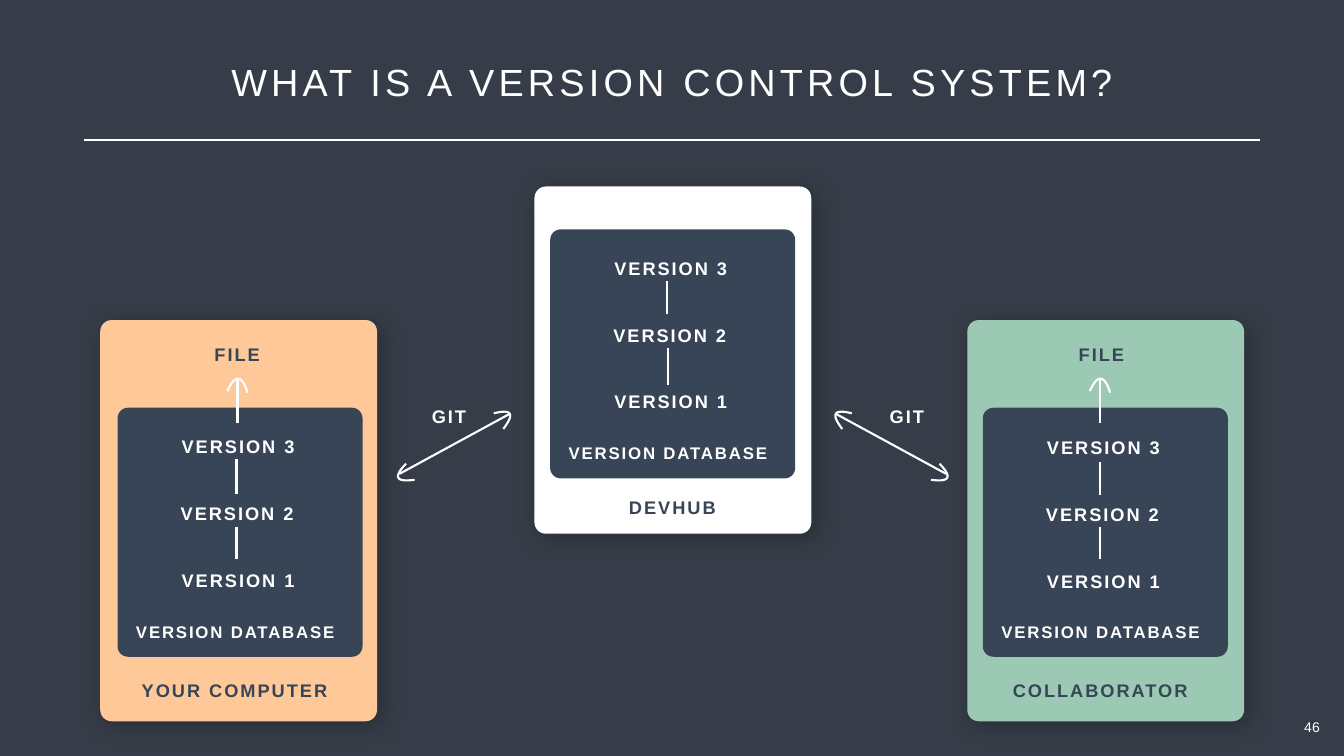
import pptx
import pptx.dml.color
import pptx.enum.shapes
import pptx.enum.text
import pptx.oxml
import pptx.util
from lxml import etree

Cm, Pt = pptx.util.Cm, pptx.util.Pt
RGBColor = pptx.dml.color.RGBColor
MSO_SHAPE = pptx.enum.shapes.MSO_SHAPE
PP_ALIGN = pptx.enum.text.PP_ALIGN

BACKGROUND = RGBColor(0x36, 0x3D, 0x48)
NAVY = RGBColor(0x37, 0x45, 0x56)
WHITE = RGBColor(0xFF, 0xFF, 0xFF)
ORANGE = RGBColor(0xFF, 0xC8, 0x99)
GREEN = RGBColor(0x9C, 0xC9, 0xB4)
A_NS = "http://schemas.openxmlformats.org/drawingml/2006/main"

# Content; all lengths in cm
TITLE = "WHAT IS A VERSION CONTROL SYSTEM?"
PAGE = "46"
# card: left, top, height; panel: left, top; caption: left, top, width
# links: x and the y spans between versions, measured from the panel
CARDS = [
    {"card": (5.05, 16.13, 20.22), "fill": ORANGE, "panel": (5.92, 20.55),
     "caption": ("YOUR COMPUTER", 7.01, 33.73, 10.69), "file": 10.67,
     "arrow": 11.96, "drop": 0,
     "links": [(5.99, 2.59, 4.34), (5.99, 5.99, 7.64)]},
    {"card": (26.92, 9.4, 17.5), "fill": WHITE, "panel": (27.71, 11.56),
     "caption": ("DEVHUB", 31.55, 24.49, 5), "file": None,
     "arrow": None, "drop": 0,
     "links": [(5.89, 2.59, 4.24), (5.95, 5.99, 7.82)]},
    {"card": (48.72, 16.13, 20.22), "fill": GREEN, "panel": (49.5, 20.55),
     "caption": ("COLLABORATOR", 50.88, 33.73, 9.6), "file": 54.2,
     "arrow": 55.4, "drop": 0.05,
     "links": [(5.9, 2.74, 4.39), (5.9, 5.99, 7.64)]},
]
VERSIONS = [("VERSION 3", 3.1), ("VERSION 2", 3.05), ("VERSION 1", 3.1)]
GIT_LABELS = [21.62, 44.68]

CARD_W, PANEL_W, PANEL_H = 13.94, 12.34, 12.55
VERSION_TOP, VERSION_STEP = 0.89, 3.36
FILE_TOP, ARROW_TOP, ARROW_BOTTOM = 16.81, 19.13, 21.31
MIRROR = 67.77  # sum of the x values of the two git arrows

# Bezier control points of the curved arrowheads
UP_HEAD = [(-0.51, 0.58), (-0.13, -0.28), (0.23, -0.25), (0.51, 0.66)]
GIT_LINE = [(42.14, 20.88), (47.65, 23.88)]
GIT_HEADS = [
    [(42.9, 20.83), (41.99, 20.6), (41.83, 20.85), (42.42, 21.62)],
    [(47.32, 23.37), (47.98, 24.05), (47.83, 24.31), (46.89, 24.18)],
]

prs = pptx.Presentation()
prs.slide_width, prs.slide_height = Cm(67.69), Cm(38.1)
s = prs.slides.add_slide(prs.slide_layouts[6])
s.background.fill.solid()
s.background.fill.fore_color.rgb = BACKGROUND


def add_box(x, y, w, h, fill, adj, shadow=False):
    sp = s.shapes.add_shape(MSO_SHAPE.ROUNDED_RECTANGLE, Cm(x), Cm(y), Cm(w), Cm(h))
    sp.adjustments[0] = adj
    sp.fill.solid()
    sp.fill.fore_color.rgb = fill
    sp.line.fill.background()
    sp.shadow.inherit = False
    if shadow:
        effects = sp._element.spPr.find(f"{{{A_NS}}}effectLst")
        effects.append(pptx.oxml.parse_xml(
            f'<a:outerShdw xmlns:a="{A_NS}" blurRad="{Pt(36)}" dist="{Pt(8)}" '
            'dir="2700000" algn="ctr" rotWithShape="0"><a:srgbClr val="000000">'
            '<a:alpha val="26000"/></a:srgbClr></a:outerShdw>'))


def add_text(text, x, y, w, h=1.65, color=WHITE, size=26, spacing=2.8,
             bold=True, center=False, line=42, inset=0.13, wrap=True):
    tf = s.shapes.add_textbox(Cm(x), Cm(y), Cm(w), Cm(h)).text_frame
    tf.word_wrap = wrap
    tf.auto_size = pptx.enum.text.MSO_AUTO_SIZE.SHAPE_TO_FIT_TEXT
    tf.margin_left = tf.margin_right = tf.margin_top = tf.margin_bottom = Cm(inset)
    p = tf.paragraphs[0]
    p.alignment = PP_ALIGN.CENTER if center else PP_ALIGN.LEFT
    if line:
        p.line_spacing = Pt(line)
    r = p.add_run()
    r.text = text
    r.font.name, r.font.size, r.font.bold = "Arial", Pt(size), bold
    r.font.color.rgb = color
    if spacing:
        r._r.get_or_add_rPr().set("spc", str(round(spacing * 100)))


def add_line(x1, y1, x2, y2):
    line = s.shapes.add_connector(pptx.enum.shapes.MSO_CONNECTOR.STRAIGHT,
                                  Cm(x1), Cm(y1), Cm(x2), Cm(y2))
    line.line.color.rgb, line.line.width = WHITE, Pt(3)
    etree.SubElement(line._element.spPr, f"{{{A_NS}}}effectLst")


def add_curve(controls, steps=16):
    points = []
    for i in range(steps + 1):
        t = i / steps
        weights = ((1 - t) ** 3, 3 * t * (1 - t) ** 2, 3 * t * t * (1 - t), t ** 3)
        points.append(tuple(Cm(sum(k * c[axis] for k, c in zip(weights, controls)))
                            for axis in (0, 1)))
    builder = s.shapes.build_freeform(*points[0])
    builder.add_line_segments(points[1:], close=False)
    sp = builder.convert_to_shape()
    sp.fill.background()
    sp.line.color.rgb, sp.line.width = WHITE, Pt(3)
    sp.shadow.inherit = False


# Title, rule and page number
add_text(TITLE, 8.59, 2.82, 50.55, 2.54, size=54, spacing=6, bold=False,
         center=True, line=None)
add_line(4.24, 7.06, 63.45, 7.06)
add_text(PAGE, 65.43, 35.97, 1.3, 1.37, size=20, spacing=0, bold=False,
         center=True, line=None, inset=0.25, wrap=False)

# Cards with their version databases
for card in CARDS:
    x, y, h = card["card"]
    px, py = card["panel"]
    add_box(x, y, CARD_W, h, card["fill"], 0.041, shadow=True)
    add_box(px, py, PANEL_W, PANEL_H, NAVY, 0.043)
    for i, (version, dx) in enumerate(VERSIONS):
        add_text(version, px + dx, py + VERSION_TOP + card["drop"] + i * VERSION_STEP, 6.8)
    add_text("VERSION DATABASE", px + 0.8, py + 10.18, 11.4, size=24, spacing=2.6)
    caption, cx, cy, cw = card["caption"]
    add_text(caption, cx, cy, cw, color=NAVY)
    for dx, top, bottom in card["links"]:
        add_line(px + dx, py + bottom, px + dx, py + top)
    if card["file"]:
        add_text("FILE", card["file"], FILE_TOP, 3.12, color=NAVY)
        ax = card["arrow"]
        add_line(ax, ARROW_TOP, ax, ARROW_BOTTOM)
        add_curve([(ax + dx, ARROW_TOP + dy) for dx, dy in UP_HEAD])

# Git arrows: the right one and its mirror image
for mirrored in (False, True):
    def place(points):
        return [(MIRROR - x if mirrored else x, y) for x, y in points]

    start, end = place(GIT_LINE)
    add_line(*start, *end)
    for head in GIT_HEADS:
        add_curve(place(head))
for x in GIT_LABELS:
    add_text("GIT", x, 19.91, 2.62)

prs.save("out.pptx")
